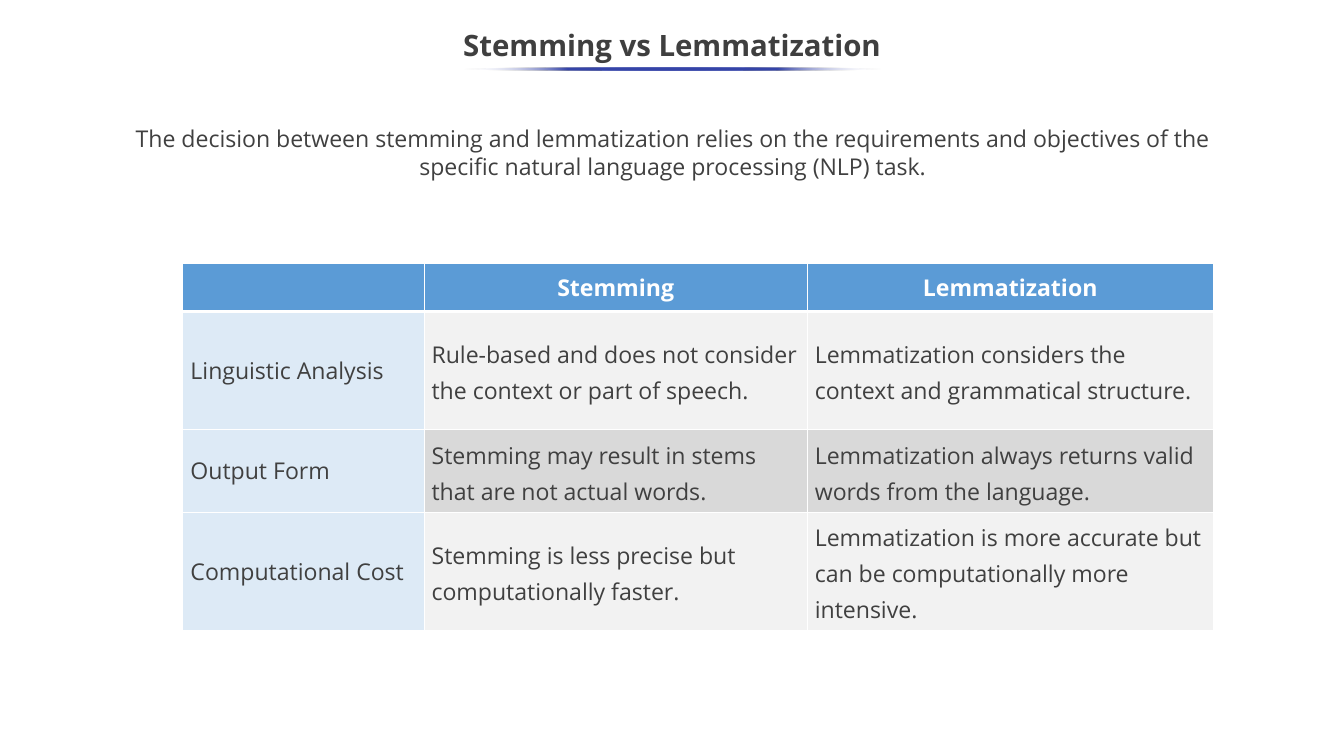
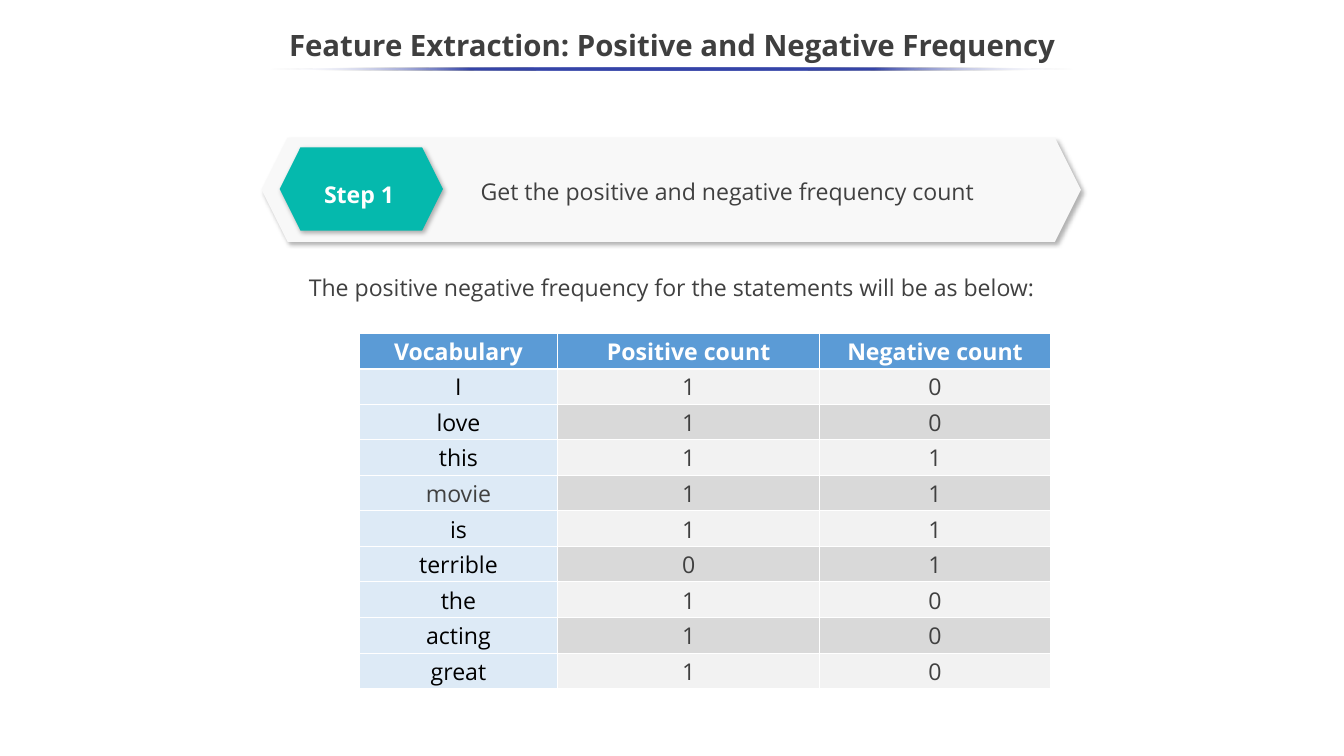
from dataclasses import dataclass

from lxml import etree
from pptx import Presentation
from pptx.dml.color import RGBColor
from pptx.enum.shapes import MSO_SHAPE
from pptx.enum.text import MSO_ANCHOR, MSO_AUTO_SIZE, PP_ALIGN
from pptx.oxml.ns import qn
from pptx.util import Inches, Pt

LEFT, CENTER = PP_ALIGN.LEFT, PP_ALIGN.CENTER
TOP, MIDDLE = MSO_ANCHOR.TOP, MSO_ANCHOR.MIDDLE
HEXAGON, OVAL = MSO_SHAPE.HEXAGON, MSO_SHAPE.OVAL
BODY_LAYOUT, TITLE_LAYOUT = 1, 5


@dataclass(frozen=True)
class Theme:
    font: str = "Open Sans"
    title_size: int = 28
    text_size: int = 22
    title: str = "3F3F3F"
    text: str = "404040"
    word: str = "000000"
    white: str = "FFFFFF"
    header: str = "5B9BD6"
    label: str = "DDEAF6"
    bands: tuple = ("F2F2F2", "D9D9D9")
    underline: str = "3645A9"
    banner: str = "F8F8F8"
    step: str = "05B9AD"
    shadow: str = "000000"


THEME = Theme()
SLIDE_WIDTH, SLIDE_HEIGHT = 17.78, 10
LINE_SPACING = 1.14

COMPARISON = {
    "title": "Stemming vs Lemmatization",
    "underline": (6.13, 5.53),
    "intro": "The decision between stemming and lemmatization relies on the requirements "
             "and objectives of the specific natural language processing (NLP) task.",
    "rows": [
        ("", "Stemming", "Lemmatization"),
        ("Linguistic Analysis",
         "Rule-based and does not consider the context or part of speech.",
         "Lemmatization considers the context and grammatical structure."),
        ("Output Form",
         "Stemming may result in stems that are not actual words.",
         "Lemmatization always returns valid words from the language."),
        ("Computational Cost",
         "Stemming is less precise but computationally faster.",
         "Lemmatization is more accurate but can be computationally more intensive."),
    ],
}

FREQUENCY = {
    "title": "Feature Extraction: Positive and Negative Frequency",
    "underline": (3.57, 10.64),
    "step": "Step 1",
    "task": "Get the positive and negative frequency count",
    "intro": "The positive negative frequency for the statements will be as below:",
    "rows": [
        ("Vocabulary", "Positive count", "Negative count"),
        ("I", 1, 0),
        ("love", 1, 0),
        ("this", 1, 1),
        ("movie", 1, 1),
        ("is", 1, 1),
        ("terrible", 0, 1),
        ("the", 1, 0),
        ("acting", 1, 0),
        ("great", 1, 0),
    ],
}
GREY_WORDS = {"movie"}


def rgb(color):
    return RGBColor.from_string(color)


def place(shape, left, top, width, height):
    shape.left, shape.top = Inches(left), Inches(top)
    shape.width, shape.height = Inches(width), Inches(height)


def style_paragraph(para, color, size=THEME.text_size, bold=False, align=LEFT, spacing=1.0):
    para.alignment = align
    para.line_spacing = spacing
    para.space_before = Pt(0)
    para.font.name = THEME.font
    para.font.size = Pt(size)
    para.font.bold = bold
    para.font.color.rgb = rgb(color)


def set_margins(target, left, top, right, bottom):
    target.margin_left, target.margin_top = Inches(left), Inches(top)
    target.margin_right, target.margin_bottom = Inches(right), Inches(bottom)


def fill_box(box, text, color, anchor=TOP, inset=0.05, **style):
    frame = box.text_frame
    frame.word_wrap = True
    frame.auto_size = MSO_AUTO_SIZE.NONE
    frame.vertical_anchor = anchor
    set_margins(frame, 0.1, inset, 0.1, inset)
    para = frame.paragraphs[0]
    para.text = text
    style_paragraph(para, color, **style)
    return para


def add_text(page, bounds, text, color, **style):
    box = page.shapes.add_textbox(*map(Inches, bounds))
    fill_box(box, text, color, spacing=LINE_SPACING, **style)


def add_plain_shape(page, kind, bounds):
    shape = page.shapes.add_shape(kind, *map(Inches, bounds))
    shape.line.fill.background()
    shape.shadow.inherit = False
    return shape


def add_color(parent, color, alpha=100):
    node = etree.SubElement(parent, qn("a:srgbClr"), val=color)
    if alpha < 100:
        etree.SubElement(node, qn("a:alpha"), val=str(alpha * 1000))


def add_underline(page, left, width):
    line = add_plain_shape(page, OVAL, (left, 0.89, width, 0.04))
    line.fill.gradient()
    line.fill.gradient_angle = 0
    stops = next(line.element.iter(qn("a:gsLst")))
    for stop in list(stops):
        stops.remove(stop)
    for position in range(0, 101, 25):
        stop = etree.SubElement(stops, qn("a:gs"), pos=str(position * 1000))
        if position in (0, 100):
            add_color(stop, THEME.white, alpha=0)
        else:
            add_color(stop, THEME.underline)


def add_hexagon(page, bounds, color):
    shape = add_plain_shape(page, HEXAGON, bounds)
    shape.adjustments[0] = 0.25
    shape.fill.solid()
    shape.fill.fore_color.rgb = rgb(color)
    effects = shape.element.spPr.find(qn("a:effectLst"))
    shadow = etree.SubElement(effects, qn("a:outerShdw"), blurRad=str(Pt(4.5)),
                              dist=str(Pt(2.6)), dir=str(53 * 60000),
                              algn="tl", rotWithShape="0")
    add_color(shadow, THEME.shadow, alpha=30)


def set_borders(cell, row_number):
    properties = cell._tc.get_or_add_tcPr()
    thick = {0: "lnB", 1: "lnT"}.get(row_number)
    for side in ("lnL", "lnR", "lnT", "lnB"):
        width = Pt(3 if side == thick else 1)
        line = etree.SubElement(properties, qn("a:" + side), w=str(width))
        add_color(etree.SubElement(line, qn("a:solidFill")), THEME.white)


def add_table(page, left, top, widths, heights, rows, margins, cell_style):
    frame = page.shapes.add_table(len(rows), len(widths), Inches(left), Inches(top),
                                  Inches(sum(widths)), Inches(sum(heights)))
    table = frame.table
    for column, width in zip(table.columns, widths):
        column.width = Inches(width)
    for row_number, (values, height) in enumerate(zip(rows, heights)):
        table.rows[row_number].height = Inches(height)
        for column_number, value in enumerate(values):
            cell = table.cell(row_number, column_number)
            set_borders(cell, row_number)
            set_margins(cell, *margins)
            cell.vertical_anchor = MIDDLE
            cell.text = str(value)
            para = cell.text_frame.paragraphs[0]
            if row_number == 0:
                color = THEME.header
                style_paragraph(para, THEME.white, bold=True, align=CENTER)
            else:
                color = THEME.label if column_number == 0 else THEME.bands[(row_number - 1) % 2]
                style_paragraph(para, **cell_style(value, column_number))
            cell.fill.solid()
            cell.fill.fore_color.rgb = rgb(color)


def add_page(deck, layout, content):
    page = deck.slides.add_slide(deck.slide_layouts[layout])
    title = page.shapes.title
    place(title, 0, 0.25, SLIDE_WIDTH, 0.75)
    fill_box(title, content["title"], THEME.title, anchor=MIDDLE,
             size=THEME.title_size, bold=True, align=CENTER, spacing=0.9)
    add_underline(page, *content["underline"])
    return page


def comparison_style(value, column_number):
    return {"color": THEME.text, "spacing": LINE_SPACING if column_number else 1.0}


def frequency_style(value, column_number):
    is_black = column_number == 0 and value not in GREY_WORDS
    return {"color": THEME.word if is_black else THEME.text, "align": CENTER}


def build_comparison(deck):
    page = add_page(deck, BODY_LAYOUT, COMPARISON)
    body = page.placeholders[1]
    place(body, 1.41, 1.65, 14.98, 0.99)
    para = fill_box(body, COMPARISON["intro"], THEME.text, inset=0, align=CENTER)
    properties = para._p.get_or_add_pPr()
    properties.set("marL", "0")
    properties.set("indent", "0")
    bullet = etree.Element(qn("a:buNone"))
    properties.find(qn("a:spcBef")).addnext(bullet)
    add_table(page, 2.42, 3.49, (3.19, 5.07, 5.37), (0.63, 1.56, 1.1, 1.56),
              COMPARISON["rows"], (0.1, 0.05, 0.1, 0.05), comparison_style)


def build_frequency(deck):
    page = add_page(deck, TITLE_LAYOUT, FREQUENCY)
    add_text(page, (2.5, 3.52, 12.77, 0.52), FREQUENCY["intro"], THEME.text, align=CENTER)
    rows = FREQUENCY["rows"]
    add_table(page, 4.75, 4.41, (2.63, 3.46, 3.06), [0.47] * len(rows),
              rows, (0.01, 0.01, 0.01, 0), frequency_style)
    add_hexagon(page, (3.46, 1.82, 10.84, 1.38), THEME.banner)
    add_hexagon(page, (3.7, 1.95, 2.16, 1.1), THEME.step)
    add_text(page, (4.04, 2.28, 1.42, 0.5), FREQUENCY["step"], THEME.white,
             bold=True, align=CENTER)
    add_text(page, (6.26, 2.24, 7.19, 0.52), FREQUENCY["task"], THEME.text, anchor=MIDDLE)


def main():
    deck = Presentation()
    deck.slide_width, deck.slide_height = Inches(SLIDE_WIDTH), Inches(SLIDE_HEIGHT)
    build_comparison(deck)
    build_frequency(deck)
    deck.save("out.pptx")


if __name__ == "__main__":
    main()
